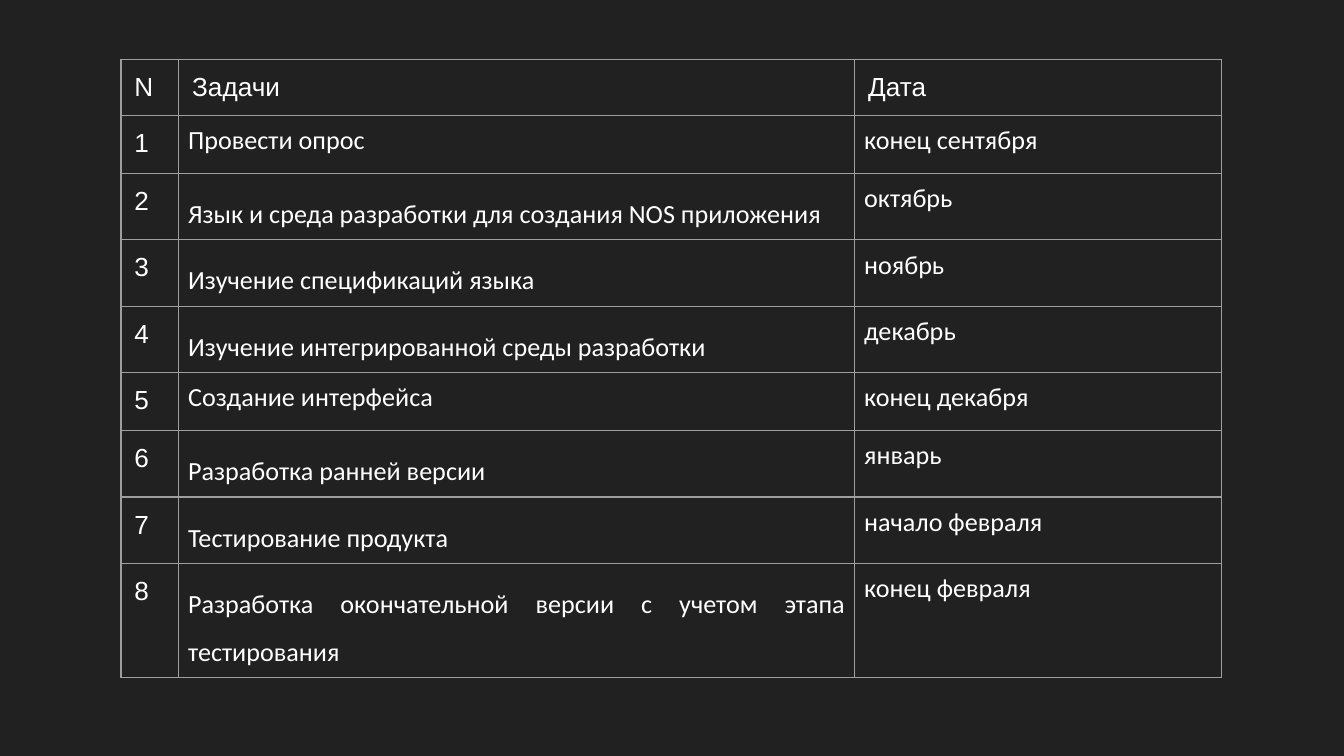
"""Build a dark slide with a table of project tasks and their dates."""
from lxml import etree
from pptx import Presentation
from pptx import util as u
from pptx.dml.color import RGBColor
from pptx.enum import text
from pptx.oxml import ns

BACKGROUND = RGBColor(0x21, 0x21, 0x21)
WHITE = RGBColor(0xFF, 0xFF, 0xFF)
GRID = RGBColor(0x9E, 0x9E, 0x9E)

COLUMNS = (0.43, 5.03, 2.73)
ROW = 0.42
TALL_ROW = 0.43
HEADER = ("N", "Задачи", "Дата")
TASKS = (
    ("Провести опрос", "конец сентября", False),
    ("Язык и среда разработки для создания NOS приложения", "октябрь", True),
    ("Изучение спецификаций языка", "ноябрь", True),
    ("Изучение интегрированной среды разработки", "декабрь", True),
    ("Создание интерфейса", "конец декабря", False),
    ("Разработка ранней версии", "январь", True),
    ("Тестирование продукта", "начало февраля", True),
    ("Разработка окончательной версии с учетом этапа тестирования", "конец февраля", True),
)
WIDE = {"name": "Arial", "margin": 0.1}
NARROW = {"name": "Calibri", "margin": 0.07}
SPACED = {"alignment": text.PP_ALIGN.JUSTIFY, "line_spacing": 1.5}


def add_borders(cell):
    properties = cell._tc.get_or_add_tcPr()
    for index, side in enumerate(("lnL", "lnR", "lnT", "lnB")):
        line = etree.Element(ns.qn(f"a:{side}"), w=str(u.Pt(0.75)))
        fill = etree.SubElement(line, ns.qn("a:solidFill"))
        etree.SubElement(fill, ns.qn("a:srgbClr"), val=str(GRID))
        properties.insert(index, line)


def fill_cell(cell, words, style, paragraph_format):
    cell.text = words
    cell.fill.background()
    for side in ("left", "right", "top", "bottom"):
        setattr(cell, f"margin_{side}", u.Inches(style["margin"]))
    paragraph = cell.text_frame.paragraphs[0]
    for name, value in paragraph_format.items():
        setattr(paragraph, name, value)
    font = paragraph.runs[0].font
    for name, value in {"name": style["name"], "size": u.Pt(14), "bold": False}.items():
        setattr(font, name, value)
    font.color.rgb = WHITE
    add_borders(cell)


presentation = Presentation()
presentation.slide_width = u.Inches(10)
presentation.slide_height = presentation.slide_width * 9 // 16
slide = presentation.slides.add_slide(presentation.slide_layouts[6])
slide.background.fill.solid()
slide.background.fill.fore_color.rgb = BACKGROUND

row_count = len(TASKS) + 1
shape = slide.shapes.add_table(
    row_count, len(COLUMNS), u.Inches(0.9), u.Inches(0.44),
    u.Inches(sum(COLUMNS)), u.Inches(ROW * row_count),
)
table = shape.table
table.first_row = False
table.horz_banding = False
for column, width in zip(table.columns, COLUMNS):
    column.width = u.Inches(width)

for column, words in enumerate(HEADER):
    fill_cell(table.cell(0, column), words, WIDE, {})
for number, (task, date, spaced) in enumerate(TASKS, start=1):
    table.rows[number].height = u.Inches(ROW if spaced else TALL_ROW)
    fill_cell(table.cell(number, 0), str(number), WIDE, {})
    fill_cell(table.cell(number, 1), task, NARROW, SPACED if spaced else {})
    fill_cell(table.cell(number, 2), date, NARROW, {})

presentation.save("out.pptx")
